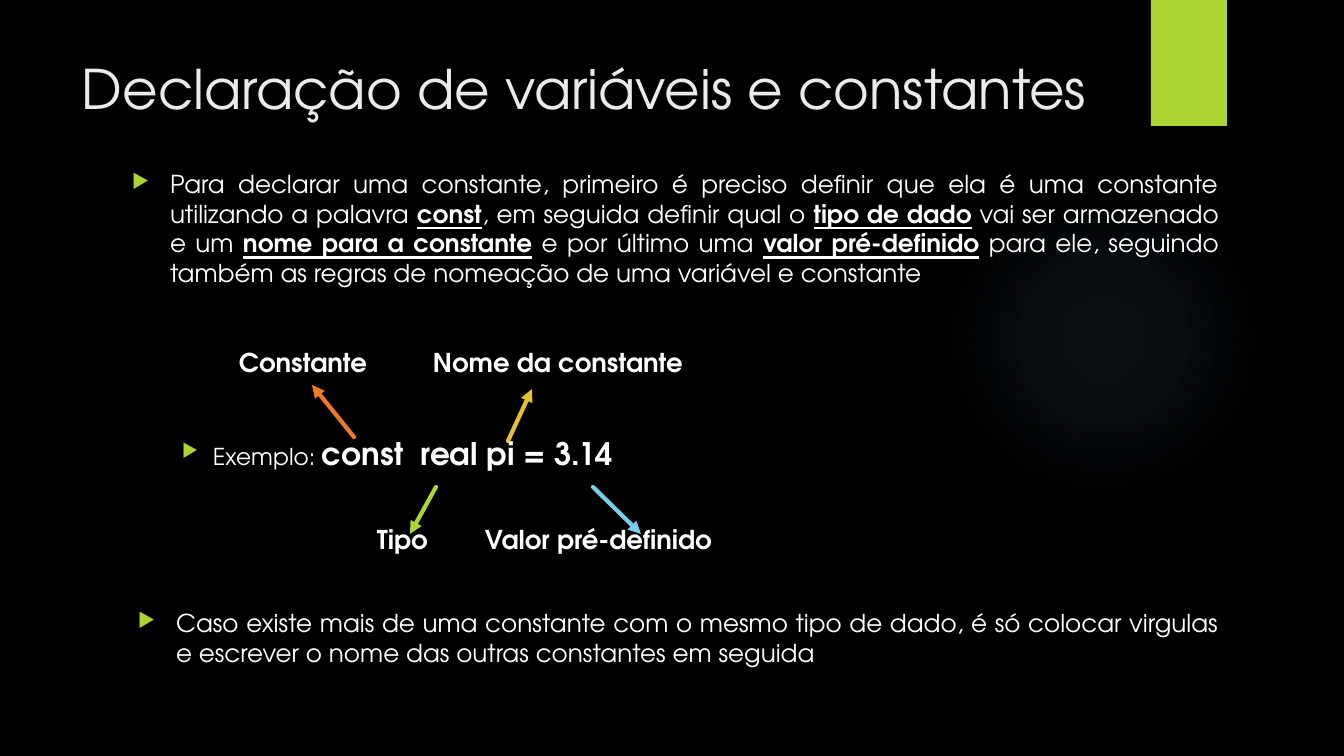
from lxml import etree
from pptx import Presentation
from pptx.dml.color import RGBColor
from pptx.enum.shapes import MSO_CONNECTOR, MSO_SHAPE
from pptx.enum.text import PP_ALIGN
from pptx.oxml import parse_xml
from pptx.oxml.ns import nsdecls, qn
from pptx.util import Pt

LINE = MSO_CONNECTOR.STRAIGHT
OVAL, RECT = MSO_SHAPE.OVAL, MSO_SHAPE.RECTANGLE
LEFT, JUST = PP_ALIGN.LEFT, PP_ALIGN.JUSTIFY

WIDE, HIGH = 1344, 756
SCALE = 12192000 / WIDE
FONT = "TeX Gyre Adventor"
BLACK, WHITE, PALE = "000000", "FFFFFF", "EBEBEB"
LIME, SKY = "ACD433", "7AC4F0"
MARK = "**"  # splits plain text from strong text

INTRO = (
    "Para declarar uma constante, primeiro é preciso definir que ela é uma "
    "constante utilizando a palavra **const**, em seguida definir qual o "
    "**tipo de dado** vai ser armazenado e um **nome para a constante** e por "
    "último uma **valor pré-definido** para ele, seguindo também as regras de "
    "nomeação de uma variável e constante"
)
NOTE = (
    "Caso existe mais de uma constante com o mesmo tipo de dado, é só colocar "
    "virgulas e escrever o nome das outras constantes em seguida"
)
SAMPLE = "Exemplo: **const  real pi = 3.14"

# text, x, y, width
LABELS = [
    ("Constante", 57, 0, 150),
    ("Nome da constante", 251, 0, 280),
    ("Tipo", 195, 177, 80),
    ("Valor pré-definido", 303, 177, 260),
]
# start, end, colour
ARROWS = [
    ((172, 90), (130, 38), "EF7A24"),
    ((254, 140), (228, 187), LIME),
    ((326, 94), (350, 42), "E6C133"),
    ((411, 140), (459, 187), "75CEEC"),
]


def px(num):
    return round(num * SCALE)


def tint(code):
    return RGBColor.from_string(code)


def block(slide, kind, box, color):
    """Add a plain shape without outline or shadow."""
    shape = slide.shapes.add_shape(kind, *map(px, box))
    shape.shadow.inherit = False
    shape.line.fill.background()
    shape.fill.solid()
    shape.fill.fore_color.rgb = tint(color)
    return shape


def write(slide, box, text, sizes, color=WHITE, bold=False, under=False, align=LEFT):
    """Add a text box; sizes holds the plain and the strong size."""
    frame = slide.shapes.add_textbox(*map(px, box)).text_frame
    frame.word_wrap = True
    frame.margin_left = frame.margin_right = 0
    frame.margin_top = frame.margin_bottom = 0
    para = frame.paragraphs[0]
    para.alignment = align
    for num, part in enumerate(text.split(MARK)):
        strong = num % 2 == 1
        run = para.add_run()
        run.text = part
        font = run.font
        font.name = FONT
        font.size = Pt(sizes[strong])
        font.color.rgb = tint(color)
        font.bold = bold or strong
        font.underline = under and strong
    return para


def bullet(para, inset, hang):
    """Indent the paragraph and hang a lime arrow in front of it."""
    props = para._p.get_or_add_pPr()
    props.set("marL", str(px(inset)))
    props.set("indent", str(-px(hang)))
    hue = etree.SubElement(props, qn("a:buClr"))
    etree.SubElement(hue, qn("a:srgbClr"), val=LIME)
    etree.SubElement(props, qn("a:buSzPct"), val="80000")
    etree.SubElement(props, qn("a:buChar"), char="▶")


def arrow(slide, start, end, color):
    link = slide.shapes.add_connector(LINE, *map(px, start + end))
    link.line.width = Pt(3)
    link.line.color.rgb = tint(color)
    edge = link.line._get_or_add_ln()
    edge.set("cap", "rnd")
    etree.SubElement(edge, qn("a:tailEnd"), type="triangle")
    etree.SubElement(link._element.spPr, qn("a:effectLst"))


def glow(slide, box):
    """Add a disc that fades out from its centre."""
    disc = block(slide, OVAL, box, SKY)
    stops = "".join(
        f'<a:gs pos="{pos}000"><a:srgbClr val="{SKY}">'
        f'<a:alpha val="{alpha}000"/></a:srgbClr></a:gs>'
        for pos, alpha in ((0, 7), (36, 6), (69, 0), (100, 0))
    )
    fade = parse_xml(
        f'<a:gradFill {nsdecls("a")} rotWithShape="1"><a:gsLst>{stops}</a:gsLst>'
        '<a:path path="circle"><a:fillToRect l="50000" t="50000" r="50000" '
        'b="50000"/></a:path></a:gradFill>'
    )
    props = disc._element.spPr
    props.replace(props.find(qn("a:solidFill")), fade)


def header(slide, box):
    left, top, width, height = box
    block(slide, RECT, (left + 1069, top, 76, 126), LIME)
    write(slide, (left, top + 55, width, height - 55), "Declaração de variáveis e constantes",
          (39,), PALE)


def advice(slide, box, text, inset):
    para = write(slide, box, text, (17.6, 17.6), under=True, align=JUST)
    bullet(para, inset, 38)


def example(slide, box):
    """Show the sample line with its four labelled parts."""
    left, top, width, height = box
    for text, x, y, wide in LABELS:
        write(slide, (left + x, top + y, wide, 32), text, (18.5,), bold=True)
    line = write(slide, (left, top + 87, width, 38), SAMPLE, (16.6, 22.2))
    bullet(line, 31, 31)
    for start, end, color in ARROWS:
        arrow(slide, (left + start[0], top + start[1]), (left + end[0], top + end[1]), color)


def main():
    deck = Presentation()
    deck.slide_width, deck.slide_height = px(WIDE), px(HIGH)
    slide = deck.slides.add_slide(deck.slide_layouts[6])
    back = slide.background.fill
    back.solid()
    back.fore_color.rgb = tint(BLACK)
    glow(slide, (949, 184, 310, 310))
    header(slide, (82, 0, 1040, 126))
    advice(slide, (132, 169, 1087, 122), INTRO, 38)
    example(slide, (182, 347, 600, 210))
    advice(slide, (132, 608, 1087, 62), NOTE, 44)
    deck.save("out.pptx")


if __name__ == "__main__":
    main()
